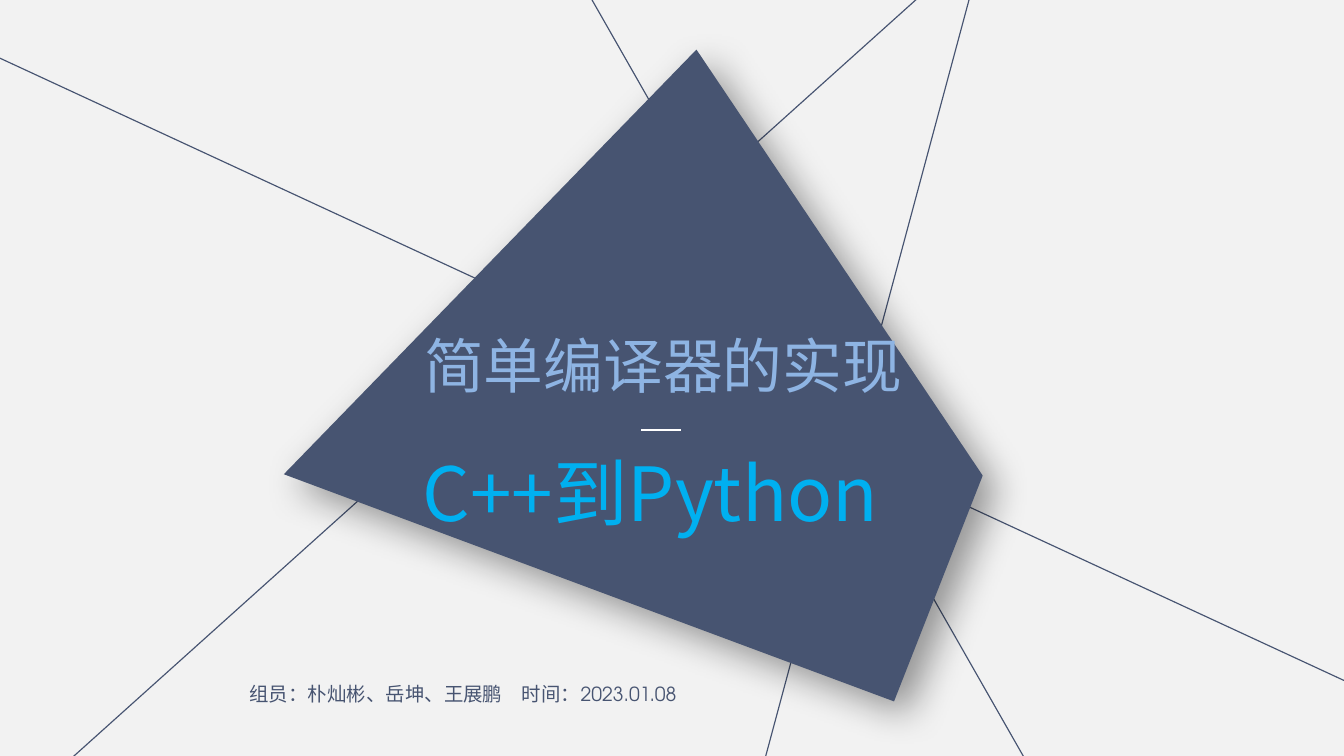
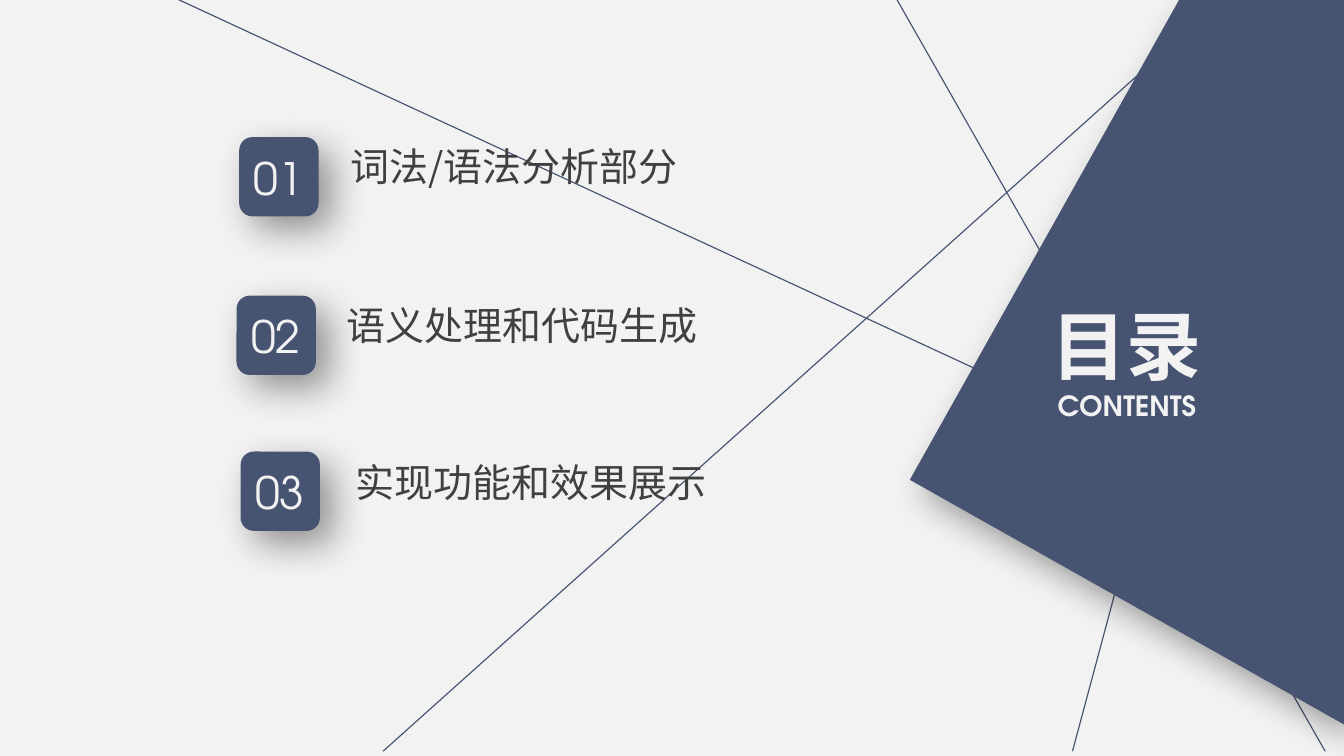
import math

from lxml import etree
from pptx import Presentation
from pptx import util as u
from pptx.dml.color import RGBColor
from pptx.enum import shapes, text
from pptx.oxml import ns

SCALE = 4572
NAVY = RGBColor(0x47, 0x54, 0x71)
PAPER = RGBColor(0xF2, 0xF2, 0xF2)
WHITE = RGBColor(0xFF, 0xFF, 0xFF)
PALE_BLUE = RGBColor(0x8E, 0xB4, 0xE3)
SKY = RGBColor(0x00, 0xB0, 0xF0)
CHARCOAL = RGBColor(0x40, 0x40, 0x40)
GEOMETRIC = "TeX Gyre Adventor"
HAN = "Noto Sans CJK SC"
NARROW = "Arial Narrow"
CENTER = text.PP_ALIGN.CENTER
LEFT = text.PP_ALIGN.LEFT


def px(length):
    return u.Emu(round(length * SCALE))


class Deck:
    """Holds the shared style and the slide being drawn."""

    def __init__(self, width, height):
        self.prs = Presentation()
        self.prs.slide_width, self.prs.slide_height = px(width), px(height)
        self.slide = None

    def new_slide(self):
        self.slide = self.prs.slides.add_slide(self.prs.slide_layouts[6])
        background = self.slide.background.fill
        background.solid()
        background.fore_color.rgb = PAPER

    def line(self, start, end, color=NAVY, weight=0.63):
        connector = self.slide.shapes.add_connector(
            shapes.MSO_CONNECTOR.STRAIGHT, *map(px, start + end))
        connector.line.color.rgb = color
        connector.line.width = u.Pt(weight)
        etree.SubElement(connector._element.spPr, ns.qn("a:effectLst"))

    def raised(self, shape):
        shape.fill.solid()
        shape.fill.fore_color.rgb = NAVY
        shape.line.fill.background()
        shape.shadow.inherit = False
        effects = shape._element.spPr.find(ns.qn("a:effectLst"))
        shadow = etree.SubElement(
            effects, ns.qn("a:outerShdw"), blurRad=str(u.Pt(20)),
            dist=str(u.Pt(10)), dir="2700000", algn="tl", rotWithShape="0")
        tint = etree.SubElement(shadow, ns.qn("a:srgbClr"), val="000000")
        etree.SubElement(tint, ns.qn("a:alpha"), val="40000")

    def badge(self, left, top, size):
        self.raised(self.slide.shapes.add_shape(
            shapes.MSO_SHAPE.ROUNDED_RECTANGLE, *map(px, (left, top, size, size))))

    def polygon(self, corners, turn=0, pivot=(0, 0)):
        cos, sin = math.cos(math.radians(turn)), math.sin(math.radians(turn))
        points = []
        for x, y in corners:
            dx, dy = x - pivot[0], y - pivot[1]
            points.append((px(pivot[0] + dx * cos + dy * sin),
                           px(pivot[1] - dx * sin + dy * cos)))
        builder = self.slide.shapes.build_freeform(*points[0])
        builder.add_line_segments(points[1:], close=True)
        panel = builder.convert_to_shape()
        panel.rotation = turn
        self.raised(panel)

    def words(self, box, lines, font, color, align=CENTER, bold=False, wrap=True):
        frame = self.slide.shapes.add_textbox(*map(px, box)).text_frame
        frame.word_wrap = wrap
        frame.vertical_anchor = text.MSO_ANCHOR.MIDDLE
        frame.margin_left = frame.margin_right = px(20)
        frame.margin_top = frame.margin_bottom = 0
        frame.text = "\n".join(content for content, _ in lines)
        for paragraph, (_, size) in zip(frame.paragraphs, lines):
            paragraph.alignment = align
            for run in paragraph.runs:
                run.font.size = u.Pt(size)
                run.font.bold = bold
                run.font.color.rgb = color
                run.font.name = font
                etree.SubElement(run.font._element, ns.qn("a:ea"), typeface=HAN)


def cover(deck):
    deck.new_slide()
    for start, end in (((-18, 1240), (1474, -100)), ((864, -30), (1578, 1222)),
                       ((-200, -6), (2046, 1034)), ((1100, 1272), (1450, -30))):
        deck.line(start, end)
    deck.polygon([(1036, 76), (1462, 710), (1330, 1046), (422, 708)],
                 turn=110.4, pivot=(1019, 499))
    deck.words((608, 478, 758, 128), [("简单编译器的实现", 32)],
               NARROW, PALE_BLUE, wrap=False)
    deck.line((954, 640), (1014, 640), WHITE, 1.5)
    deck.words((326, 1004, 726, 56),
               [("组员：朴灿彬、岳坤、王展鹏　时间：2023.01.08", 10.4)], GEOMETRIC, NAVY)
    deck.words((-32, 654, 2000, 154), [("C++到Python", 40)], HAN, SKY)


def contents(deck):
    badges = [(356, 204), (352, 440), (358, 672)]
    topics = [((502, 202, 662, 90), "词法/语法分析部分"),
              ((496, 438, 592, 90), "语义处理和代码生成"),
              ((510, 672, 640, 90), "实现功能和效果展示")]
    deck.new_slide()
    for left, top in badges:
        deck.badge(left, top, 118)
    for number, (left, top) in enumerate(badges, 1):
        deck.words((left + 2, top + 10, 114, 100), [(f"{number:02}", 23.9)],
                   GEOMETRIC, PAPER, LEFT, wrap=False)
    for start, end in (((570, 1118), (1818, 0)), ((1318, -30), (1972, 1118)),
                       ((254, -6), (1994, 800)), ((1596, 1118), (1904, -30))):
        deck.line(start, end)
    deck.polygon([(1758, -6), (2000, -6), (2000, 1078), (1354, 714)])
    deck.words((1534, 434, 286, 206), [("目录", 40.2), ("CONTENTS", 14.9)],
               GEOMETRIC, PAPER, bold=True)
    for box, topic in topics:
        deck.words(box, [(topic, 20.9)], HAN, CHARCOAL, LEFT)


def main():
    deck = Deck(2000, 1125)
    cover(deck)
    contents(deck)
    deck.prs.save("out.pptx")


if __name__ == "__main__":
    main()
